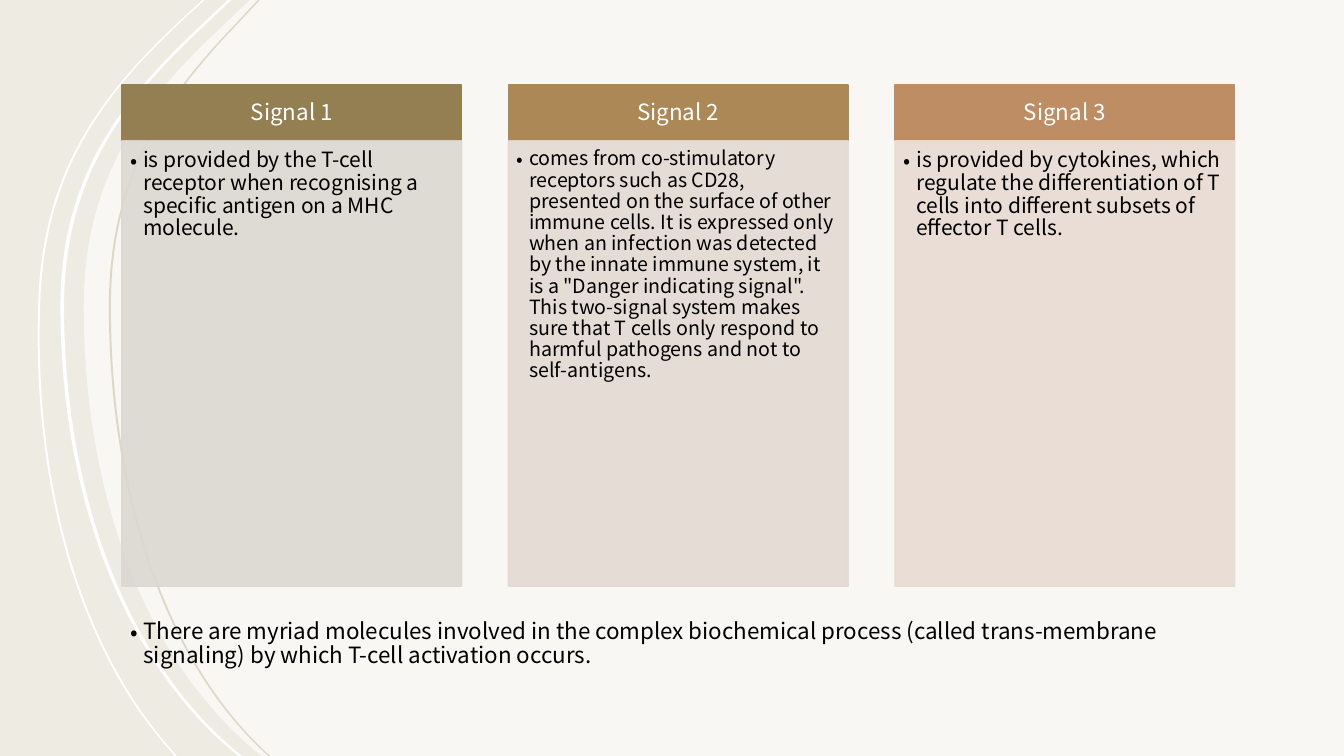
from dataclasses import dataclass

from lxml import etree
from pptx import Presentation
from pptx.dml.color import RGBColor
from pptx.enum.shapes import MSO_SHAPE
from pptx.enum.text import MSO_ANCHOR as Anchor, PP_ALIGN as Align
from pptx.oxml.ns import qn
from pptx.util import Pt

WIDTH, HEIGHT = 960, 540


@dataclass(frozen=True)
class Theme:
    font: str = "Noto Sans CJK JP"
    background: str = "EEEBE2"
    white: str = "FFFFFF"
    ink: str = "000000"
    sand: str = "DDD7C5"
    heading_size: int = 16
    note_size: int = 16
    bullet_indent: float = 9


THEME = Theme()

# Each edge: top, shoulder, two Bezier controls, waist, two controls, foot, bottom.
PANEL_EDGE = [(178.6, 0), (151.9, 25.2), (100.1, 74.9), (59.8, 128.9), (59.8, 218.9),
              (59.8, 354.2), (104.4, 473), (185, 538.6), (186.5, 540)]
OUTER_EDGE = [(144.7, 0), (126, 17.3), (73.4, 67), (31, 121), (27.4, 213.8),
              (22.3, 345.6), (56.2, 464.4), (123.1, 537.8), (124.6, 540)]
MIDDLE_EDGE = [(162.7, 0), (136.1, 25.2), (84.2, 74.9), (43.2, 128.9), (43.2, 218.9),
               (43.2, 354.2), (88.6, 473), (168.5, 538.6), (170.6, 540)]
INNER_EDGE = [(184.3, 0), (160.6, 25.2), (114.5, 74.9), (77.8, 128.9), (77.8, 218.9),
              (77.8, 354.2), (118.1, 473), (190.1, 538.6), (191.5, 540)]
RIBBONS = [(OUTER_EDGE, 1.4, THEME.white), (MIDDLE_EDGE, 2.6, THEME.white),
           (INNER_EDGE, 1.4, THEME.sand)]

# Heading, heading colour, body colour, body size, body inset, text.
SIGNALS = [
    ("Signal 1", "947F53", "DCD8D1", 15, 6.2,
     "is provided by the T-cell receptor when recognising a specific antigen on a MHC molecule."),
    ("Signal 2", "AD8857", "E2DAD2", 14, 5.8,
     "comes from co-stimulatory receptors such as CD28, presented on the surface of other "
     "immune cells. It is expressed only when an infection was detected by the innate immune "
     "system, it is a \"Danger indicating signal\". This two-signal system makes sure that "
     "T cells only respond to harmful pathogens and not to self-antigens."),
    ("Signal 3", "BE8D64", "E8DBD3", 15, 6.2,
     "is provided by cytokines, which regulate the differentiation of T cells into different "
     "subsets of effector T cells."),
]
NOTE = ("There are myriad molecules involved in the complex biochemical process (called "
        "trans-membrane signaling) by which T-cell activation occurs.")


def paint(fill, color, opacity=100):
    fill.solid()
    fill.fore_color.rgb = RGBColor.from_string(color)
    if opacity < 100:
        for element in fill._xPr.iter(qn("a:srgbClr")):
            etree.SubElement(element, qn("a:alpha"), val=str(opacity * 1000))


def write(shape, text, *, size, color=THEME.ink, align=Align.LEFT, anchor=Anchor.TOP,
          insets=(7.2, 3.6, 7.2, 3.6), bullet=False):
    """Fill the shape with one paragraph; insets run left, top, right, bottom."""
    frame = shape.text_frame
    frame.word_wrap = True
    frame.vertical_anchor = anchor
    (frame.margin_left, frame.margin_top,
     frame.margin_right, frame.margin_bottom) = map(Pt, insets)
    paragraph = frame.paragraphs[0]
    paragraph.alignment = align
    paragraph.line_spacing = 0.9
    run = paragraph.add_run()
    run.text = text
    run.font.name = THEME.font
    run.font.size = Pt(size)
    run.font.color.rgb = RGBColor.from_string(color)
    if bullet:
        paragraph.level = 1
        properties = paragraph._p.get_or_add_pPr()
        properties.set("marL", str(Pt(THEME.bullet_indent)))
        properties.set("indent", str(-Pt(THEME.bullet_indent)))
        etree.SubElement(properties, qn("a:buFont"), typeface=THEME.font)
        etree.SubElement(properties, qn("a:buChar"), char="•")


def add_box(slide, left, top, width, height, color, opacity=100):
    box = slide.shapes.add_shape(MSO_SHAPE.RECTANGLE, Pt(left), Pt(top), Pt(width), Pt(height))
    box.shadow.inherit = False
    paint(box.fill, color, opacity)
    paint(box.line.fill, color, opacity)
    box.line.width = Pt(1)
    return box


def edge_segments(edge):
    """Split an edge after its start into line (one point) and curve (three points) parts."""
    return [edge[1:2], edge[2:5], edge[5:8], edge[8:]]


def add_outline(slide, start, segments, color, opacity=100):
    """Draw a closed outline of straight lines and cubic Bezier curves."""
    builder = slide.shapes.build_freeform(Pt(start[0]), Pt(start[1]))
    builder.add_line_segments([(Pt(x), Pt(y)) for *_, (x, y) in segments], close=True)
    outline = builder.convert_to_shape()
    outline.shadow.inherit = False
    outline.line.fill.background()
    paint(outline.fill, color, opacity)
    lines = list(outline._element.iter(qn("a:lnTo")))
    for line, (*controls, _) in zip(lines, segments):
        if controls:
            line.tag = qn("a:cubicBezTo")
        for index, (x, y) in enumerate(controls):
            line.insert(index, line.makeelement(
                qn("a:pt"), {"x": str(Pt(x) - outline.left), "y": str(Pt(y) - outline.top)}))


def add_backdrop(slide):
    paint(slide.background.fill, THEME.background)
    add_outline(slide, PANEL_EDGE[0],
                edge_segments(PANEL_EDGE) + [[(WIDTH, HEIGHT)], [(WIDTH, 0)]],
                THEME.white, 60)
    for edge, thickness, color in RIBBONS:
        return_edge = [(x + thickness, y) for x, y in reversed(edge)]
        add_outline(slide, edge[0],
                    edge_segments(edge) + [return_edge[:1]] + edge_segments(return_edge), color)


def add_signal(slide, left, top, width, height, signal, heading_height=40):
    heading, heading_color, body_color, body_size, inset, text = signal
    header = add_box(slide, left, top, width, heading_height, heading_color)
    write(header, heading, size=THEME.heading_size, color=THEME.white, align=Align.CENTER,
          anchor=Anchor.MIDDLE, insets=(8.5, 5.4, 8.5, 4.6))
    body = add_box(slide, left, top + heading_height, width, height - heading_height,
                   body_color, 90)
    write(body, text, size=body_size, insets=(inset, inset, inset + 2, inset + 3), bullet=True)


def add_signals(slide, left, top, width, height, gap=33.4):
    column = (width - gap * (len(SIGNALS) - 1)) / len(SIGNALS)
    for index, signal in enumerate(SIGNALS):
        add_signal(slide, left + index * (column + gap), top, column, height, signal)


def add_note(slide, left, top, width, height):
    box = slide.shapes.add_textbox(Pt(left), Pt(top), Pt(width), Pt(height))
    write(box, NOTE, size=THEME.note_size, bullet=True)


def main():
    presentation = Presentation()
    presentation.slide_width, presentation.slide_height = Pt(WIDTH), Pt(HEIGHT)
    slide = presentation.slides.add_slide(presentation.slide_layouts[6])
    add_backdrop(slide)
    add_signals(slide, 87.1, 60.6, 794.9, 358.2)
    add_note(slide, 86.4, 439.2, 813.6, 42.5)
    presentation.save("out.pptx")


if __name__ == "__main__":
    main()
